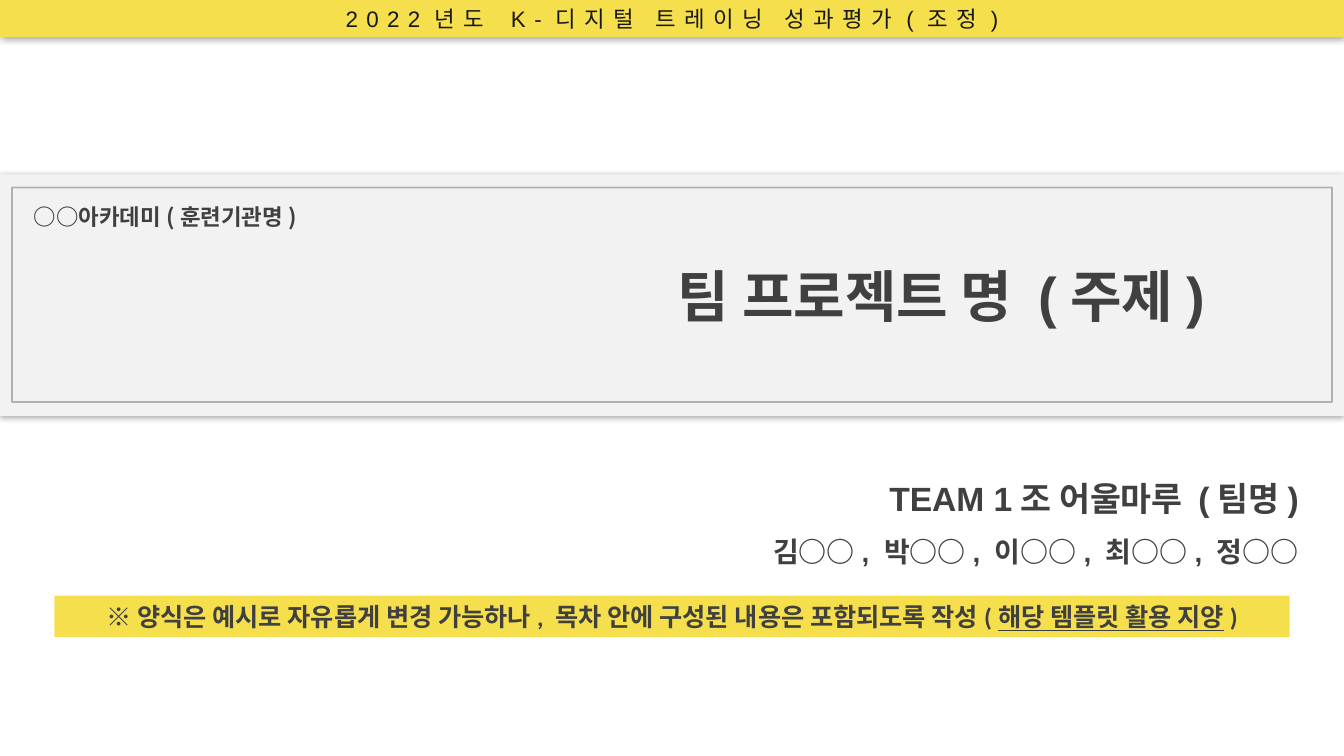
from lxml import etree
from pptx import Presentation
from pptx.dml.color import RGBColor
from pptx.enum.shapes import MSO_SHAPE
from pptx.enum.text import MSO_ANCHOR, PP_ALIGN
from pptx.oxml.ns import qn
from pptx.util import Inches, Pt

RECTANGLE = MSO_SHAPE.RECTANGLE
TOP, MIDDLE = MSO_ANCHOR.TOP, MSO_ANCHOR.MIDDLE
CENTER, RIGHT = PP_ALIGN.CENTER, PP_ALIGN.RIGHT

COLORS = {"yellow": "F5DF4D", "panel": "F2F2F2", "frame": "939597",
          "text": "404040", "header": "181717", "shadow": "000000"}
LATIN, BODY, KOREAN = "Arial", "Calibri", "Noto Sans CJK KR"
WIDTH, HEIGHT = 13.33, 7.5

# Paragraphs are (size, [(words, underlined), ...])
HEADER = [(16, [("2022년도 K-디지털 트레이닝 성과평가(조정)", False)])]
ACADEMY = [(16, [("○○아카데미(훈련기관명)", False)])]
TITLE = [(40, [("팀 프로젝트 명 (주제)", False)])]
TEAM = [(24, [("TEAM 1조 어울마루 (팀명)", False)]),
        (20, [("김○○, 박○○, 이○○, 최○○, 정○○", False)])]
NOTICE = [(18, [("※ 양식은 예시로 자유롭게 변경 가능하나, 목차 안에 구성된 내용은 포함되도록 작성(", False),
                ("해당 템플릿 활용 지양", True),
                (")", False)])]


def add_alpha(color_node, percent):
    etree.SubElement(color_node, qn("a:alpha"), val=str(percent * 1000))


def add_glow_shadow(shape):
    """Give the shape a soft shadow without offset."""
    effects = shape._element.spPr.find(qn("a:effectLst"))
    shadow = etree.SubElement(effects, qn("a:outerShdw"), blurRad=str(Pt(5)),
                              dist="0", dir="0", algn="ctr", rotWithShape="0")
    add_alpha(etree.SubElement(shadow, qn("a:srgbClr"), val=COLORS["shadow"]), 40)


def add_rectangle(page, place, fill=None, shadow=False):
    shape = page.shapes.add_shape(RECTANGLE, *map(Inches, place))
    shape.shadow.inherit = False
    shape.line.fill.background()
    if fill:
        shape.fill.solid()
        shape.fill.fore_color.rgb = RGBColor.from_string(COLORS[fill])
    else:
        shape.fill.background()
    if shadow:
        add_glow_shadow(shape)
    return shape


def add_box(page, place):
    return page.shapes.add_textbox(*map(Inches, place))


def write(shape, paragraphs, font, color="text", bold=True, align=CENTER,
          anchor=TOP, margin=0.05, line_spacing=None, letter_spacing=None):
    frame = shape.text_frame
    frame.word_wrap = True
    frame.vertical_anchor = anchor
    frame.margin_left = frame.margin_right = Inches(0.1)
    frame.margin_top = frame.margin_bottom = Inches(margin)
    for index, (size, spans) in enumerate(paragraphs):
        para = frame.add_paragraph() if index else frame.paragraphs[0]
        para.alignment = align
        if line_spacing:
            para.line_spacing = line_spacing
        for words, underlined in spans:
            span = para.add_run()
            span.text = words
            span.font.size = Pt(size)
            span.font.bold = bold
            span.font.underline = underlined
            span.font.name = font
            span.font.color.rgb = RGBColor.from_string(COLORS[color])
            properties = span.font._element
            etree.SubElement(properties, qn("a:ea"), typeface=KOREAN)
            if letter_spacing:
                properties.set("spc", str(letter_spacing * 100))


def main():
    deck = Presentation()
    deck.slide_width, deck.slide_height = Inches(WIDTH), Inches(HEIGHT)
    page = deck.slides.add_slide(deck.slide_layouts[6])

    team = add_box(page, (7.34, 4.54, 5.64, 1.11))
    write(team, TEAM, LATIN, align=RIGHT, margin=0, line_spacing=1.5)

    notice = add_rectangle(page, (0.54, 5.91, 12.25, 0.41), "yellow")
    write(notice, NOTICE, BODY, anchor=MIDDLE)

    add_rectangle(page, (0, 1.73, WIDTH, 2.4), "panel", shadow=True)
    write(add_box(page, (0.2, 1.97, 2.88, 0.37)), ACADEMY, KOREAN)
    write(add_box(page, (5.64, 2.59, 7.4, 0.67)), TITLE, LATIN, margin=0)

    header = add_rectangle(page, (0, 0, WIDTH, 0.37), "yellow", shadow=True)
    write(header, HEADER, LATIN, color="header", bold=False, letter_spacing=6)

    frame = add_rectangle(page, (0.12, 1.86, 13.09, 2.13))
    frame.line.color.rgb = RGBColor.from_string(COLORS["frame"])
    frame.line.width = Pt(1.25)
    add_alpha(frame.line._ln.find(".//" + qn("a:srgbClr")), 70)

    deck.save("out.pptx")


if __name__ == "__main__":
    main()
